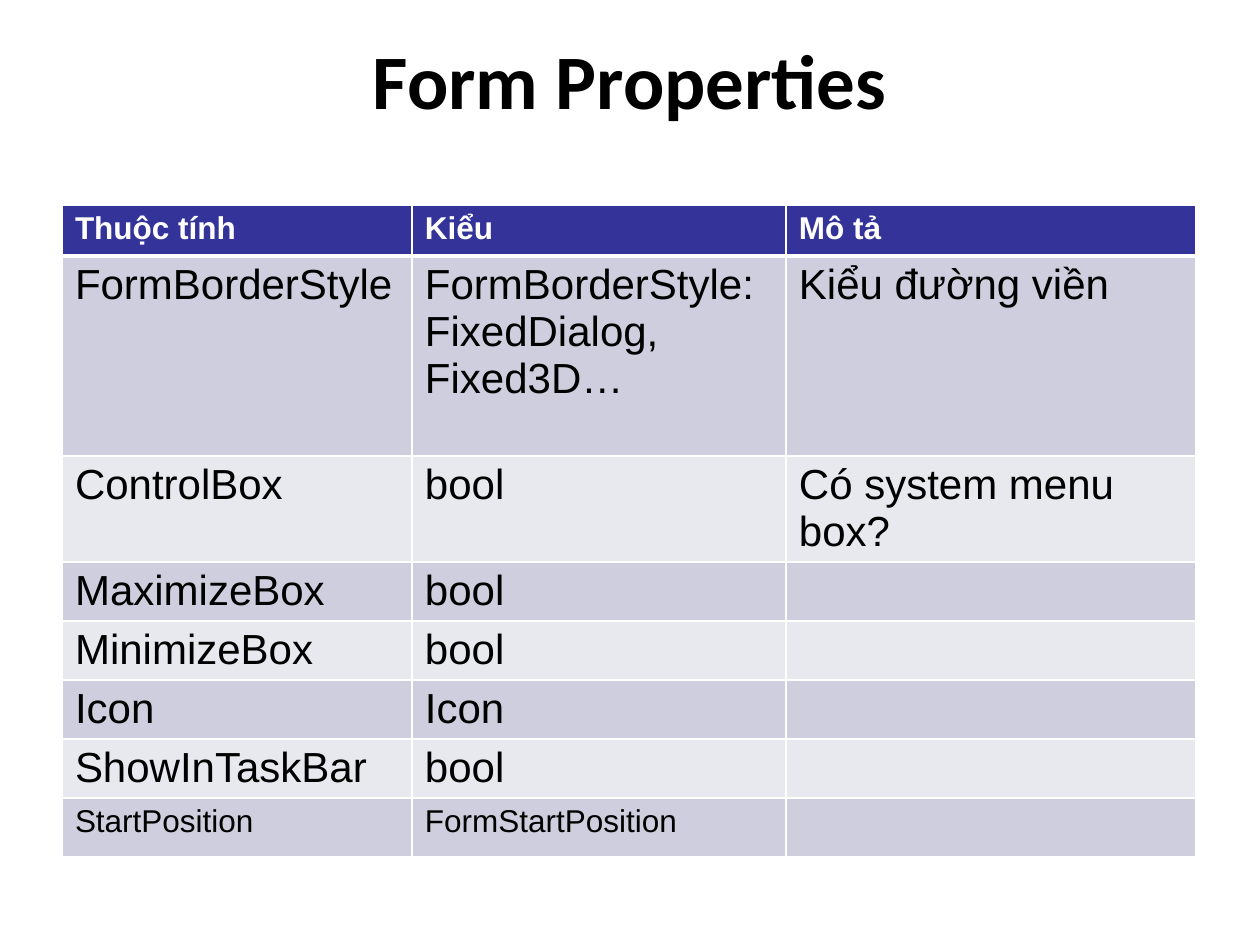
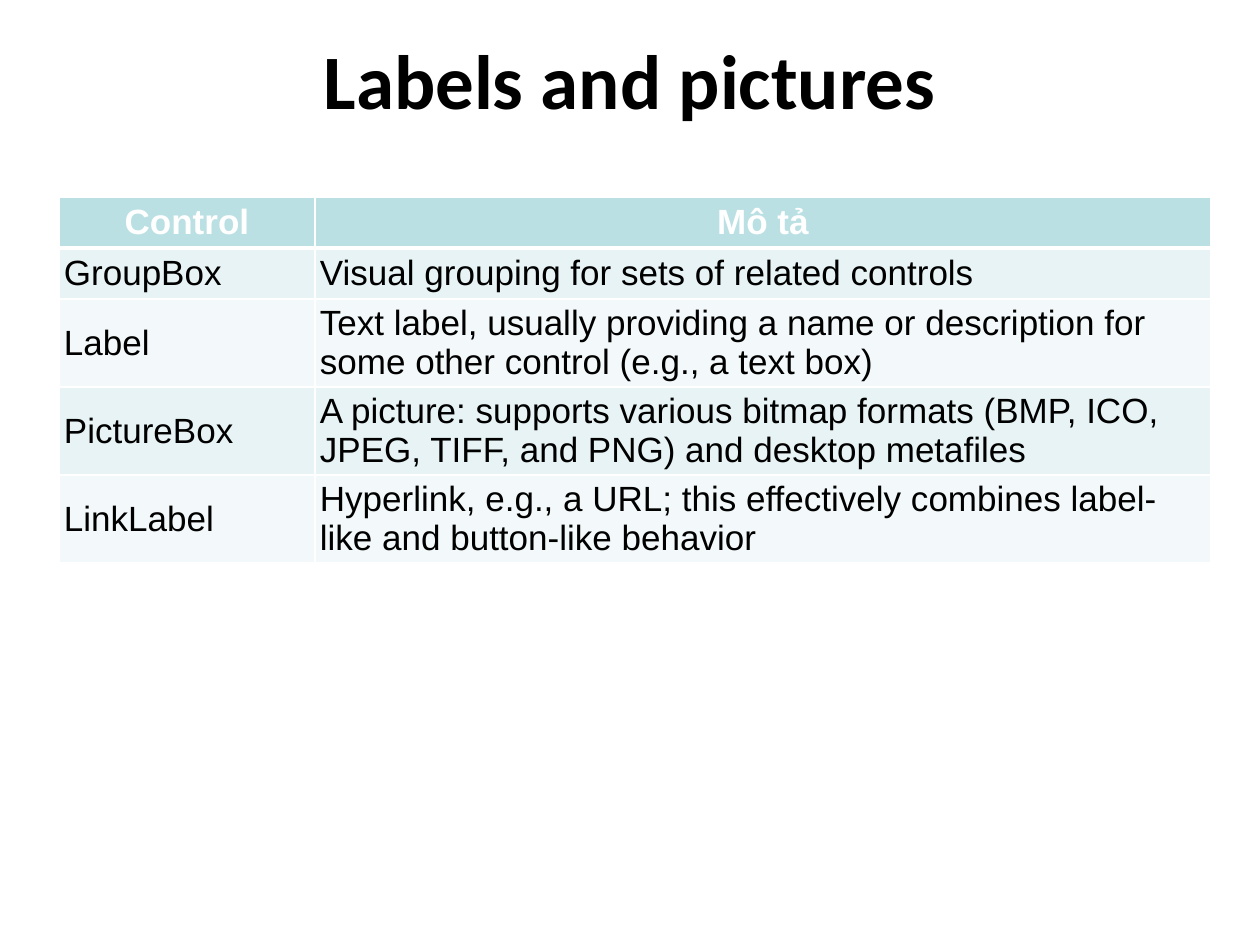
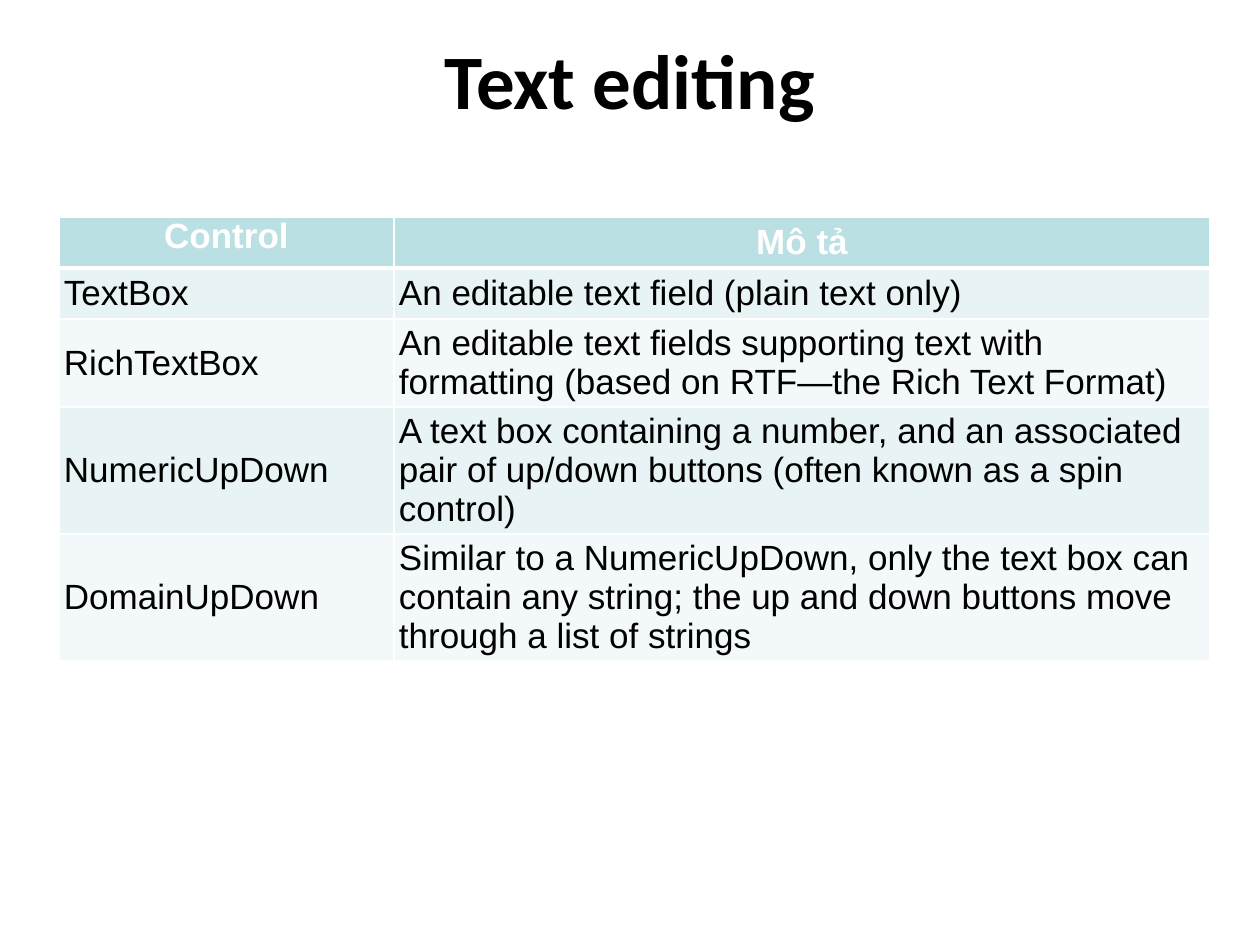
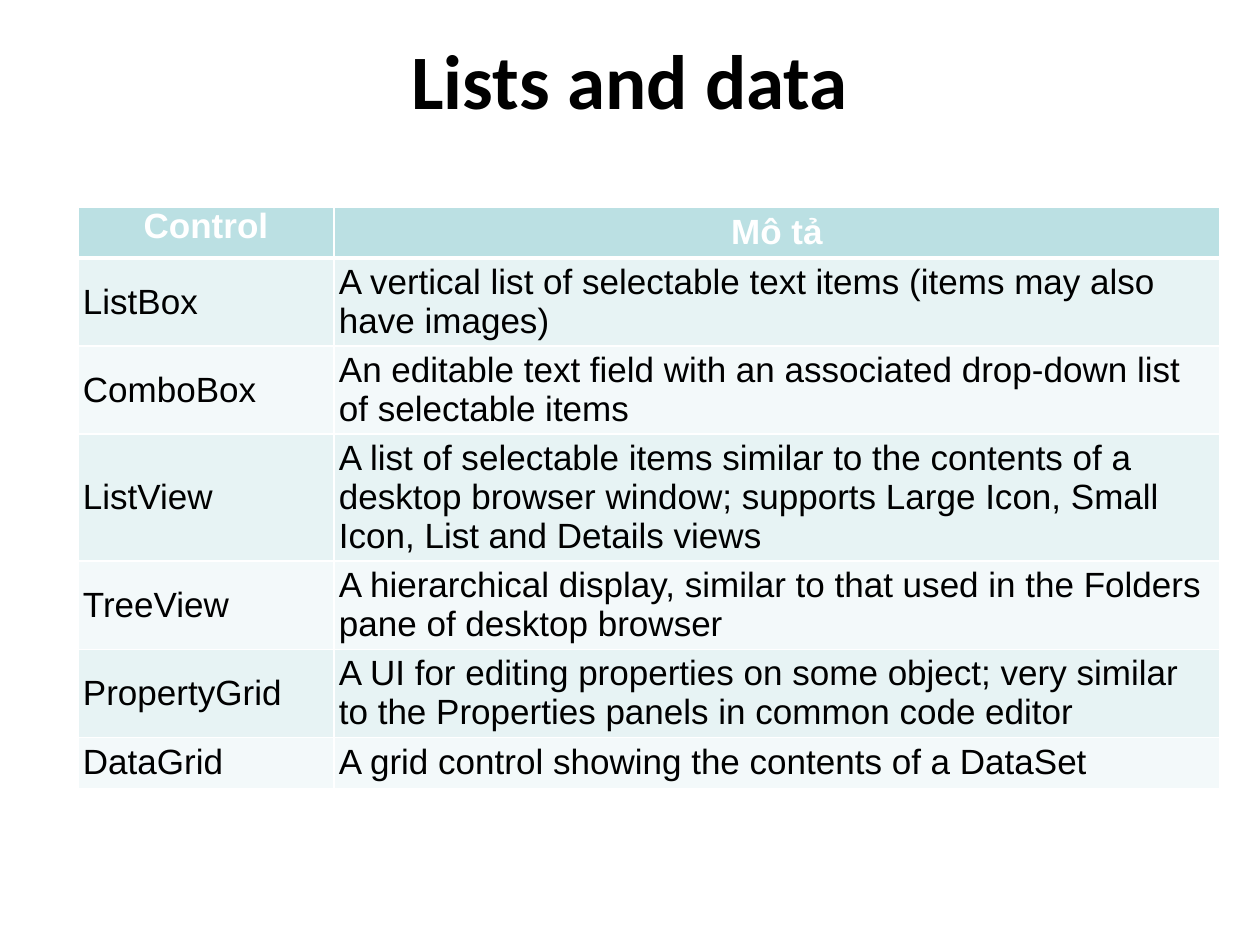
import pptx
import pptx.dml.color
import pptx.enum.text
import pptx.oxml
import pptx.oxml.ns
import pptx.util

SCALE = 914400 / 126
SLIDE_SIZE = (1260, 945)
TITLE_BOX = (63, 0, 1134, 158)
HEADER_HEIGHT = 51
BLACK, WHITE = "000000", "FFFFFF"
ALIGN = pptx.enum.text.PP_ALIGN
ANCHOR = pptx.enum.text.MSO_ANCHOR
DEFAULT_INSETS, TIGHT_INSETS, NO_INSETS = (13, 6), (5, 5), (0, 0)

INDIGO = {
    "header": "333399", "bands": ("CECEDE", "E8E8EF"),
    "header_size": 18, "body_size": 24, "header_align": ALIGN.LEFT,
    "insets": DEFAULT_INSETS, "anchor": ANCHOR.TOP,
}
AQUA = {
    "header": "BBE0E3", "bands": ("E7F3F4", "F3F9FA"),
    "header_size": 20, "body_size": 20, "header_align": ALIGN.CENTER,
    "insets": TIGHT_INSETS, "anchor": ANCHOR.MIDDLE,
}

PAGES = [
    {
        "title": "Form Properties", "look": INDIGO,
        "corner": (62, 205), "columns": (350, 374, 410),
        "header": ("Thuộc tính", "Kiểu", "Mô tả"),
        "rows": [
            (200, "FormBorderStyle", "FormBorderStyle: FixedDialog, Fixed3D…", "Kiểu đường viền"),
            (106, "ControlBox", "bool", "Có system menu box?"),
            (59, "MaximizeBox", "bool", ""),
            (59, "MinimizeBox", "bool", ""),
            (59, "Icon", "Icon", ""),
            (59, "ShowInTaskBar", "bool", ""),
            (59, "StartPosition", "FormStartPosition", ""),
        ],
        "last_size": 18,
    },
    {
        "title": "Labels and pictures", "look": AQUA,
        "corner": (59, 197), "columns": (256, 896),
        "header": ("Control", "Mô tả"),
        "rows": [
            (51, "GroupBox", "Visual grouping for sets of related controls"),
            (88, "Label", "Text label, usually providing a name or description for some other control (e.g., a text box)"),
            (88, "PictureBox", "A picture: supports various bitmap formats (BMP, ICO, JPEG, TIFF, and PNG) and desktop metafiles"),
            (88, "LinkLabel", "Hyperlink, e.g., a URL; this effectively combines label-like and button-like behavior"),
        ],
    },
    {
        "title": "Text editing", "look": AQUA,
        "corner": (59, 217), "columns": (335, 816),
        "header": ("Control", "Mô tả"), "first_insets": NO_INSETS,
        "rows": [
            (51, "TextBox", "An editable text field (plain text only)"),
            (88, "RichTextBox", "An editable text fields supporting text with formatting (based on RTF—the Rich Text Format)"),
            (127, "NumericUpDown", "A text box containing a number, and an associated pair of up/down buttons (often known as a spin control)"),
            (127, "DomainUpDown", "Similar to a NumericUpDown, only the text box can contain any string; the up and down buttons move through a list of strings"),
        ],
    },
    {
        "title": "Lists and data", "look": AQUA,
        "corner": (78, 207), "columns": (256, 886),
        "header": ("Control", "Mô tả"), "first_insets": NO_INSETS,
        "rows": [
            (88, "ListBox", "A vertical list of selectable text items (items may also have images)"),
            (88, "ComboBox", "An editable text field with an associated drop-down list of selectable items"),
            (127, "ListView", "A list of selectable items similar to the contents of a desktop browser window; supports Large Icon, Small Icon, List and Details views"),
            (88, "TreeView", "A hierarchical display, similar to that used in the Folders pane of desktop browser"),
            (88, "PropertyGrid", "A UI for editing properties on some object; very similar to the Properties panels in common code editor"),
            (51, "DataGrid", "A grid control showing the contents of a DataSet"),
        ],
    },
]


def px(length):
    return round(length * SCALE)


def color(value):
    return pptx.dml.color.RGBColor.from_string(value)


def write(frame, text, size=20, font="Arial", fill=BLACK, bold=False, align=ALIGN.LEFT):
    para = frame.paragraphs[0]
    para.alignment = align
    if text:
        span = para.add_run()
        span.text = text
        span.font.size = pptx.util.Pt(size)
        span.font.name = font
        span.font.bold = bold
        span.font.color.rgb = color(fill)


def style_cell(cell, fill, insets, anchor, top, bottom):
    cell.fill.solid()
    cell.fill.fore_color.rgb = color(fill)
    cell.margin_left = cell.margin_right = px(insets[0])
    cell.margin_top = cell.margin_bottom = px(insets[1])
    cell.vertical_anchor = anchor
    properties = cell._tc.get_or_add_tcPr()
    sides = (("lnL", 1), ("lnR", 1), ("lnT", top), ("lnB", bottom))
    for position, (side, points) in enumerate(sides):
        border = pptx.oxml.parse_xml(
            f'<a:{side} {pptx.oxml.ns.nsdecls("a")} w="{points * 12700}">'
            f'<a:solidFill><a:srgbClr val="{WHITE}"/></a:solidFill></a:{side}>'
        )
        properties.insert(position, border)


def add_title(page, text):
    box = page.shapes.title
    box.left, box.top, box.width, box.height = map(px, TITLE_BOX)
    box.text_frame.vertical_anchor = ANCHOR.MIDDLE
    write(box.text_frame, text, size=44, font="Calibri", bold=True, align=ALIGN.CENTER)


def add_grid(page, content):
    look, columns = content["look"], content["columns"]
    rows = [(HEADER_HEIGHT, *content["header"]), *content["rows"]]
    size = (sum(columns), sum(row[0] for row in rows))
    table = page.shapes.add_table(
        len(rows), len(columns), *map(px, content["corner"] + size)
    ).table
    for column, width in zip(table.columns, columns):
        column.width = px(width)
    for index, (height, *texts) in enumerate(rows):
        table.rows[index].height = px(height)
        for place, text in enumerate(texts):
            cell = table.cell(index, place)
            if index == 0:
                insets = content.get("first_insets", DEFAULT_INSETS) if place == 0 else DEFAULT_INSETS
                style_cell(cell, look["header"], insets, ANCHOR.TOP, 1, 3)
                write(cell.text_frame, text, size=look["header_size"], fill=WHITE,
                      bold=True, align=look["header_align"])
            else:
                is_last = index == len(rows) - 1
                points = content.get("last_size", look["body_size"]) if is_last else look["body_size"]
                style_cell(cell, look["bands"][(index - 1) % 2], look["insets"],
                           look["anchor"], 3 if index == 1 else 1, 1)
                write(cell.text_frame, text, size=points)


def main():
    deck = pptx.Presentation()
    deck.slide_width, deck.slide_height = map(px, SLIDE_SIZE)
    for content in PAGES:
        page = deck.slides.add_slide(deck.slide_layouts[5])
        page.background.fill.solid()
        page.background.fill.fore_color.rgb = color(WHITE)
        add_title(page, content["title"])
        add_grid(page, content)
    deck.save("out.pptx")


if __name__ == "__main__":
    main()
